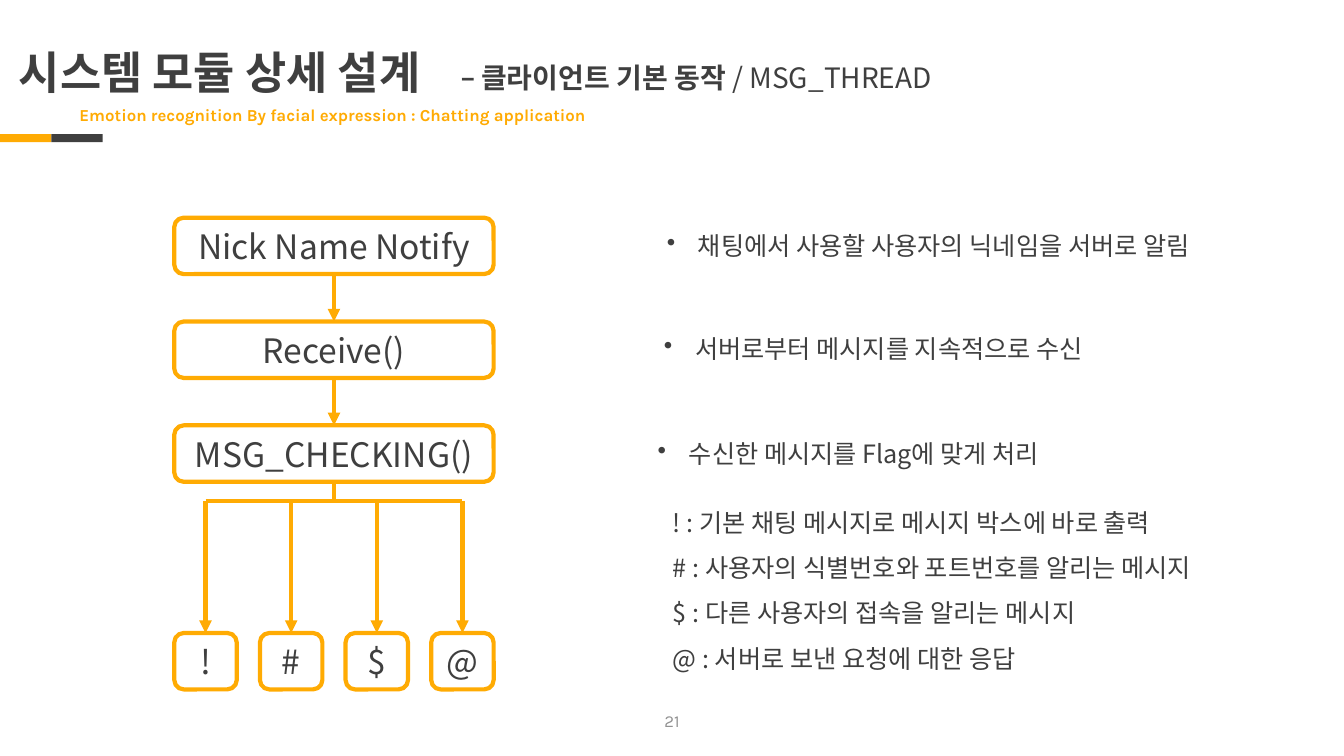
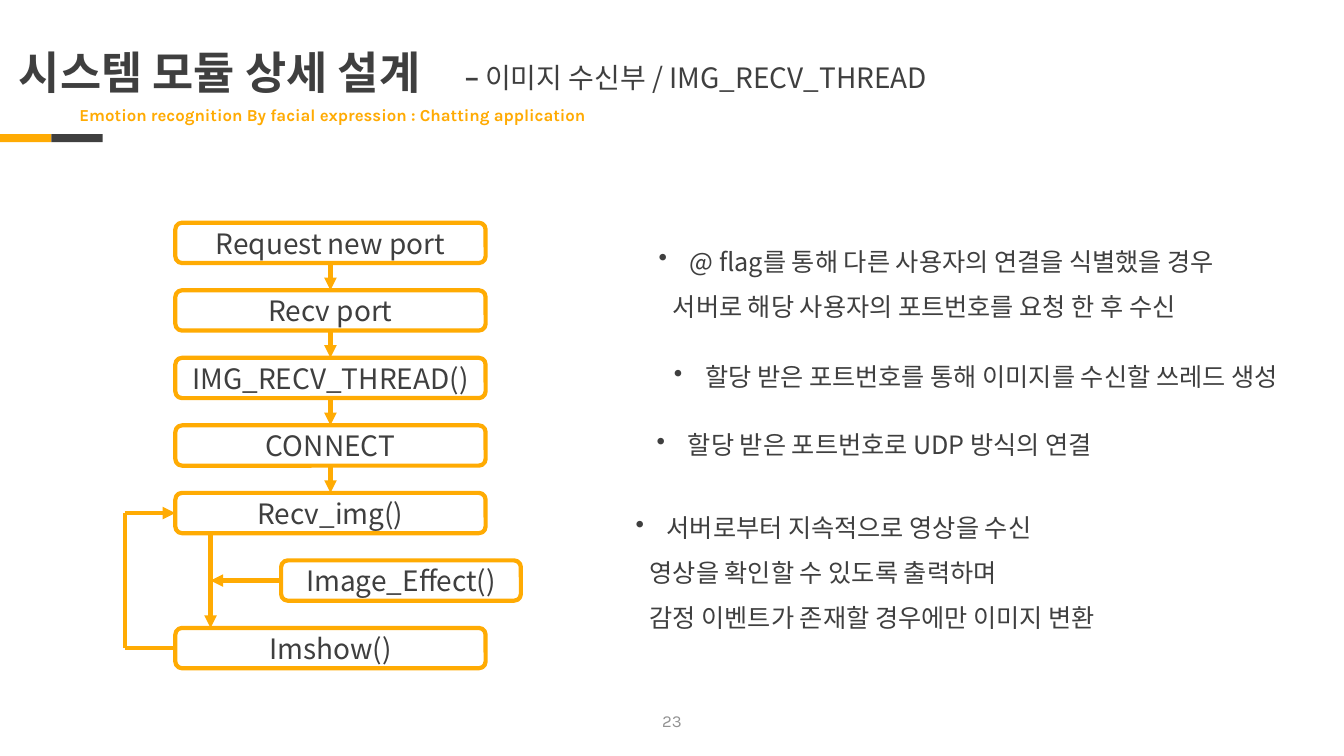
from dataclasses import dataclass
from typing import Any, Optional

from lxml.etree import SubElement
from pptx import Presentation
from pptx.dml.color import RGBColor
from pptx.enum.shapes import MSO_CONNECTOR, MSO_SHAPE
from pptx.enum.text import MSO_ANCHOR, MSO_AUTO_SIZE, PP_ALIGN
from pptx.oxml.ns import qn
from pptx.util import Inches, Pt

WIDTH, HEIGHT = 13.34, 7.5
AMBER, CHARCOAL, GRAY = "FFAB03", "3F3F3F", "929292"
SANS, KARLA, MANROPE = "Noto Sans CJK KR", "Karla", "Manrope"
TITLE = "시스템 모듈 상세 설계"
SUBTITLE = "Emotion recognition By facial expression : Chatting application"
HANGING, CONTINUED = 0.31, 0.14
TOP, LEFT, BOTTOM = 0, 1, 2

MIDDLE = {"word_wrap": True, "vertical_anchor": MSO_ANCHOR.MIDDLE}
GROWING = {"word_wrap": False, "auto_size": MSO_AUTO_SIZE.SHAPE_TO_FIT_TEXT}
CENTERED = {"alignment": PP_ALIGN.CENTER}
TIGHT = {"line_spacing": 0.9}
LOOSE = {"line_spacing": 1.5}


@dataclass(frozen=True)
class Run:
    text: str
    size: float = 18
    font: str = SANS
    color: str = CHARCOAL
    bold: bool = False


@dataclass(frozen=True)
class Line:
    text: str
    bullet: bool = False
    indent: float = 0


@dataclass(frozen=True)
class Note:
    left: float
    top: float
    width: float
    height: float
    lines: tuple[Line, ...]


@dataclass(frozen=True)
class Grid:
    left: float
    top: float
    column_step: float
    row_step: float
    cell_width: float
    cell_height: float
    size: float

    def x(self, column: float) -> float:
        return self.left + column * self.column_step

    def y(self, row: float) -> float:
        return self.top + row * self.row_step

    def span(self, columns: int) -> float:
        return (columns - 1) * self.column_step + self.cell_width


@dataclass(frozen=True)
class End:
    x: int
    y: int
    shape: Optional[Any] = None
    site: int = TOP


def rgb(value: str) -> RGBColor:
    return RGBColor.from_string(value)


def apply(target: Any, values: dict[str, Any]) -> None:
    for name, value in values.items():
        setattr(target, name, value)


def add_run(paragraph: Any, item: Run) -> None:
    run = paragraph.add_run()
    run.text = item.text
    apply(run.font, {"size": Pt(item.size), "name": item.font, "bold": item.bold})
    run.font.color.rgb = rgb(item.color)
    SubElement(run.font._element, qn("a:ea"), typeface=item.font)


def add_bullet(paragraph: Any) -> None:
    properties = paragraph._p.get_or_add_pPr()
    apply_indent(paragraph, HANGING, -HANGING)
    color = SubElement(properties, qn("a:buClr"))
    SubElement(color, qn("a:srgbClr"), val=CHARCOAL)
    SubElement(properties, qn("a:buChar"), char="•")


def apply_indent(paragraph: Any, margin: float, first: float = 0) -> None:
    properties = paragraph._p.get_or_add_pPr()
    properties.set("marL", str(Inches(margin)))
    properties.set("indent", str(Inches(first)))


def add_text(slide: Any, box: tuple[float, ...], runs: list[Run],
             frame: dict[str, Any], layout: dict[str, Any]) -> None:
    text_frame = slide.shapes.add_textbox(*map(Inches, box)).text_frame
    apply(text_frame, frame)
    paragraph = text_frame.paragraphs[0]
    apply(paragraph, layout)
    for run in runs:
        add_run(paragraph, run)


def add_note(slide: Any, note: Note) -> None:
    box = map(Inches, (note.left, note.top, note.width, note.height))
    text_frame = slide.shapes.add_textbox(*box).text_frame
    apply(text_frame, GROWING)
    for index, line in enumerate(note.lines):
        paragraph = text_frame.add_paragraph() if index else text_frame.paragraphs[0]
        if line.bullet:
            add_bullet(paragraph)
        elif line.indent:
            apply_indent(paragraph, line.indent)
        if len(note.lines) > 1:
            apply(paragraph, LOOSE)
        add_run(paragraph, Run(line.text))


def add_step(slide: Any, grid: Grid, text: str, row: int,
             column: int, columns: int) -> Any:
    shape = slide.shapes.add_shape(
        MSO_SHAPE.ROUNDED_RECTANGLE, Inches(grid.x(column)), Inches(grid.y(row)),
        Inches(grid.span(columns)), Inches(grid.cell_height))
    shape.shadow.inherit = False
    shape.fill.background()
    shape.line.color.rgb = rgb(AMBER)
    shape.line.width = Pt(3)
    apply(shape.text_frame, MIDDLE)
    paragraph = shape.text_frame.paragraphs[0]
    apply(paragraph, CENTERED)
    add_run(paragraph, Run(text, grid.size))
    return shape


def point(x: float, y: float) -> End:
    return End(Inches(x), Inches(y))


def side(shape: Any, site: int) -> End:
    center = shape.left + shape.width // 2
    middle = shape.top + shape.height // 2
    x, y = {TOP: (center, shape.top), LEFT: (shape.left, middle),
            BOTTOM: (center, shape.top + shape.height)}[site]
    return End(x, y, shape, site)


def add_link(slide: Any, start: End, end: End, arrow: bool = True) -> None:
    connector = slide.shapes.add_connector(
        MSO_CONNECTOR.STRAIGHT, start.x, start.y, end.x, end.y)
    if start.shape is not None:
        connector.begin_connect(start.shape, start.site)
    if end.shape is not None:
        connector.end_connect(end.shape, end.site)
    connector.line.color.rgb = rgb(AMBER)
    connector.line.width = Pt(3)
    if arrow:
        SubElement(connector.line._get_or_add_ln(), qn("a:tailEnd"), type="triangle")
    SubElement(connector._element.spPr, qn("a:effectLst"))


def add_chain(slide: Any, grid: Grid, names: tuple[str, ...], columns: int) -> list[Any]:
    steps = [add_step(slide, grid, name, row, 0, columns)
             for row, name in enumerate(names)]
    for upper, lower in zip(steps, steps[1:]):
        add_link(slide, side(upper, BOTTOM), side(lower, TOP))
    return steps


def add_base(presentation: Any, number: int, topic_left: float,
             topic_width: float, topic: list[Run]) -> Any:
    slide = presentation.slides.add_slide(presentation.slide_layouts[6])
    for index, color in enumerate((AMBER, CHARCOAL)):
        band = slide.shapes.add_shape(
            MSO_SHAPE.RECTANGLE, Inches(index * 0.51), Inches(1.33),
            Inches(0.51), Inches(0.08))
        band.shadow.inherit = False
        band.fill.solid()
        band.fill.fore_color.rgb = rgb(color)
        band.line.fill.background()
    add_text(slide, (0.09, 0.13, 11.5, 1.22), [Run(TITLE, 32, bold=True)], MIDDLE, TIGHT)
    add_text(slide, (0.69, 0.95, 11.5, 0.4),
             [Run(SUBTITLE, 12, KARLA, AMBER, True)], MIDDLE, TIGHT)
    add_text(slide, ((WIDTH - 3) / 2, 6.95, 3, 0.4),
             [Run(str(number), 12, KARLA, GRAY)], MIDDLE, CENTERED)
    dash = Run("– ", 20, MANROPE, bold=True)
    add_text(slide, (topic_left, 0.55, topic_width, 0.44), [dash, *topic], GROWING, {})
    return slide


def build_message_slide(presentation: Any) -> None:
    slide = add_base(presentation, 21, 4.47, 5.28, [
        Run("클라이언트 기본 동작 ", 20, bold=True), Run("/ MSG_THREAD", 20)])
    grid = Grid(1.73, 2.16, 0.85, 1.03, 0.62, 0.56, 24)
    steps = add_chain(slide, grid, ("Nick Name Notify", "Receive()", "MSG_CHECKING()"), 4)
    flags = [add_step(slide, grid, flag, 4, column, 1)
             for column, flag in enumerate("!#$@")]

    bus = Inches(4.97)
    drops = [End(side(flag, TOP).x, bus) for flag in flags]
    for drop, flag in zip(drops, flags):
        add_link(slide, drop, side(flag, TOP))
    add_link(slide, drops[0], drops[-1], arrow=False)
    checking = side(steps[-1], BOTTOM)
    add_link(slide, checking, End(checking.x, bus), arrow=False)

    for note in (
        Note(6.52, 2.24, 5.73, 0.4,
             (Line("채팅에서 사용할 사용자의 닉네임을 서버로 알림", True),)),
        Note(6.49, 3.26, 4.61, 0.4,
             (Line("서버로부터 메시지를 지속적으로 수신", True),)),
        Note(6.43, 4.3, 4.34, 0.4,
             (Line("수신한 메시지를 Flag에 맞게 처리", True),)),
        Note(6.58, 4.83, 5.74, 1.9, (
            Line("! : 기본 채팅 메시지로 메시지 박스에 바로 출력"),
            Line("# : 사용자의 식별번호와 포트번호를 알리는 메시지"),
            Line("$ : 다른 사용자의 접속을 알리는 메시지"),
            Line("@ : 서버로 보낸 요청에 대한 응답"))),
    ):
        add_note(slide, note)


def build_image_slide(presentation: Any) -> None:
    slide = add_base(presentation, 23, 4.51, 5.18,
                     [Run("이미지 수신부 / IMG_RECV_THREAD", 20)])
    grid = Grid(1.74, 2.21, 0.35, 0.67, 0.28, 0.4, 20)
    steps = add_chain(slide, grid, ("Request new port", "Recv port",
                                    "IMG_RECV_THREAD()", "CONNECT", "Recv_img()"), 9)
    effect = add_step(slide, grid, "Image_Effect()", 5, 3, 7)
    show = add_step(slide, grid, "Imshow()", 6, 0, 9)

    receive = steps[-1]
    branch = Inches(grid.x(1))
    add_link(slide, End(branch, side(receive, BOTTOM).y), End(branch, show.top))
    effect_left = side(effect, LEFT)
    add_link(slide, effect_left, End(branch, effect_left.y))

    loop = Inches(grid.left - 0.5)
    loop_start, loop_end = side(show, LEFT), side(receive, LEFT)
    lower, upper = End(loop, loop_start.y), End(loop, loop_end.y)
    add_link(slide, loop_start, lower, arrow=False)
    add_link(slide, lower, upper, arrow=False)
    add_link(slide, upper, loop_end)

    for note in (
        Note(6.44, 2.24, 6.33, 1, (
            Line("@ flag를 통해 다른 사용자의 연결을 식별했을 경우", True),
            Line("서버로 해당 사용자의 포트번호를 요청 한 후 수신", indent=CONTINUED))),
        Note(6.59, 3.54, 6.61, 0.4,
             (Line("할당 받은 포트번호를 통해 이미지를 수신할 쓰레드 생성", True),)),
        Note(6.42, 4.21, 4.9, 0.4,
             (Line("할당 받은 포트번호로 UDP 방식의 연결", True),)),
        Note(6.21, 4.88, 5.69, 1.45, (
            Line("서버로부터 지속적으로 영상을 수신", True),
            Line("영상을 확인할 수 있도록 출력하며", indent=CONTINUED),
            Line("감정 이벤트가 존재할 경우에만 이미지 변환", indent=CONTINUED))),
    ):
        add_note(slide, note)


def main() -> None:
    presentation = Presentation()
    apply(presentation, {"slide_width": Inches(WIDTH), "slide_height": Inches(HEIGHT)})
    build_message_slide(presentation)
    build_image_slide(presentation)
    presentation.save("out.pptx")


if __name__ == "__main__":
    main()
